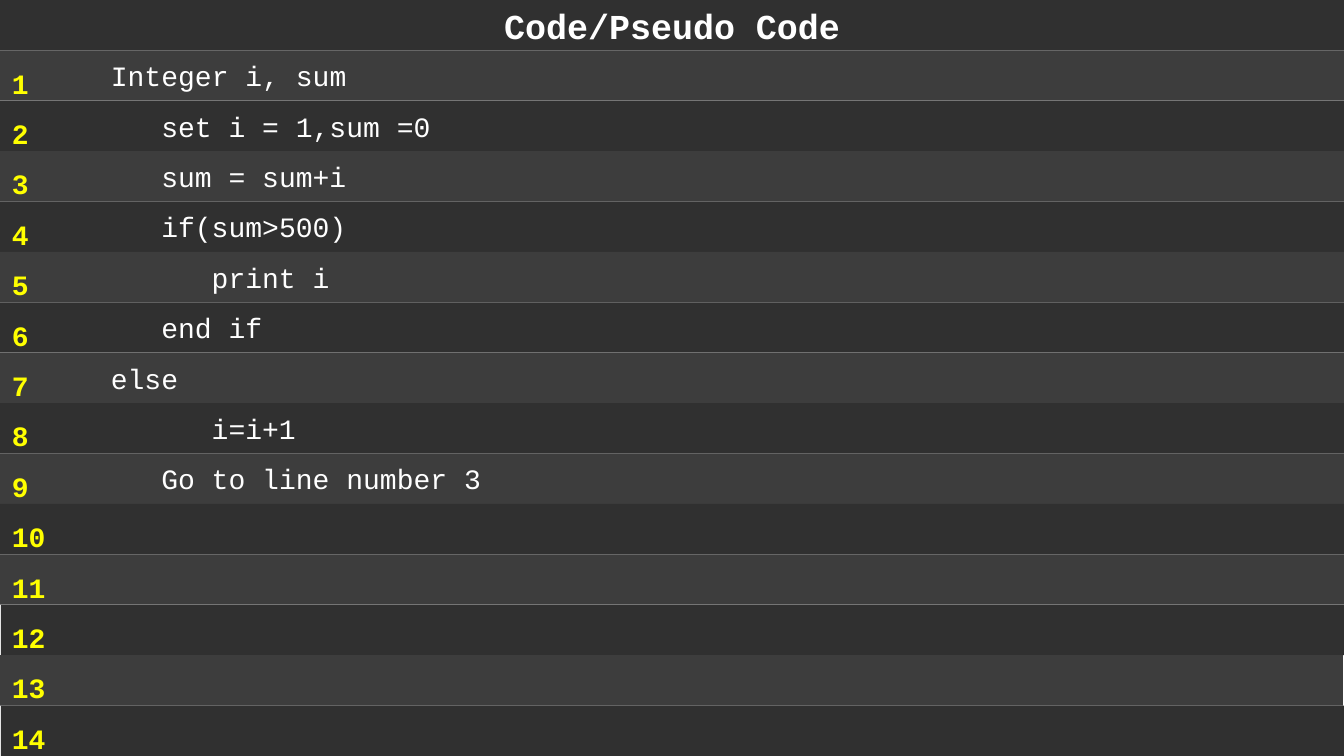
"""Build a slide showing numbered pseudo code on striped rows."""
from pptx import Presentation
from pptx.dml.color import RGBColor
from pptx.enum.shapes import MSO_SHAPE
from pptx.enum.text import MSO_ANCHOR, PP_ALIGN
from pptx.util import Inches, Pt

TITLE = "Code/Pseudo Code"
CODE_LINES = [
    (0, "Integer i, sum"),
    (1, "set i = 1,sum =0"),
    (1, "sum = sum+i"),
    (1, "if(sum>500)"),
    (2, "print i"),
    (1, "end if"),
    (0, "else"),
    (2, "i=i+1"),
    (1, "Go to line number 3"),
]
LINE_COUNT = 14
ROW_SHIFTS = {12: 0.01, 13: -0.01, 14: 0.01}

WIDTH, ROW_HEIGHT = 13.33, 0.5
CODE_INDENT, INDENT_STEP = 1.0, 0.5
DARK = RGBColor(0x30, 0x30, 0x30)
LIGHT = RGBColor(0x3D, 0x3D, 0x3D)
WHITE = RGBColor(0xFF, 0xFF, 0xFF)
YELLOW = RGBColor(0xFF, 0xFF, 0x00)


def write(para, text, size=20, color=WHITE, bold=False, align=PP_ALIGN.LEFT):
    para.alignment = align
    span = para.add_run()
    span.text = text
    span.font.name = "Courier New"
    span.font.size = Pt(size)
    span.font.bold = bold
    span.font.color.rgb = color


def add_row(page, number):
    row = page.shapes.add_shape(
        MSO_SHAPE.RECTANGLE, Inches(ROW_SHIFTS.get(number, 0)),
        Inches(number * ROW_HEIGHT), Inches(WIDTH), Inches(ROW_HEIGHT))
    row.shadow.inherit = False
    row.fill.solid()
    row.fill.fore_color.rgb = LIGHT if number % 2 else DARK
    row.line.fill.background()
    row.text_frame.vertical_anchor = MSO_ANCHOR.MIDDLE
    return row.text_frame


def add_line_numbers(page):
    box = page.shapes.add_textbox(
        Inches(0.02), Inches(0.44), Inches(0.56), Inches(7.13))
    frame = box.text_frame
    frame.word_wrap = True
    for number in range(1, LINE_COUNT + 1):
        para = frame.paragraphs[0] if number == 1 else frame.add_paragraph()
        para.line_spacing = Pt(36)
        write(para, str(number), color=YELLOW, bold=True)


def main():
    deck = Presentation()
    deck.slide_width, deck.slide_height = Inches(WIDTH), Inches(7.5)
    page = deck.slides.add_slide(deck.slide_layouts[6])
    rows = [add_row(page, number) for number in range(LINE_COUNT + 1)]
    write(rows[0].paragraphs[0], TITLE, size=25, bold=True,
          align=PP_ALIGN.CENTER)
    for frame, (level, text) in zip(rows[1:], CODE_LINES):
        frame.margin_left = Inches(0.1 + CODE_INDENT + level * INDENT_STEP)
        write(frame.paragraphs[0], text)
    add_line_numbers(page)
    deck.save("out.pptx")


if __name__ == "__main__":
    main()
